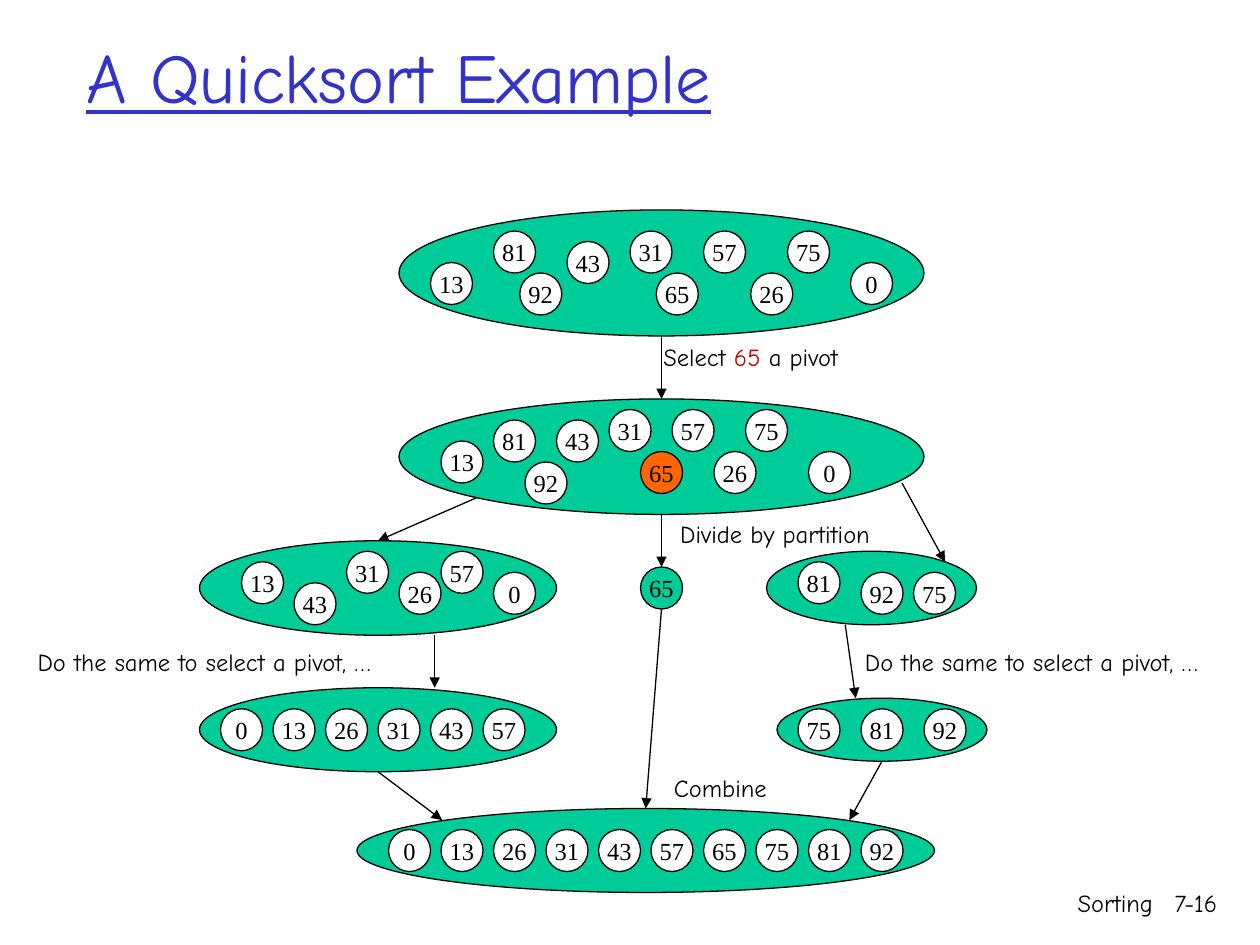
from dataclasses import dataclass

from pptx import Presentation
from pptx.dml.color import RGBColor
from pptx.enum.shapes import MSO_CONNECTOR, MSO_SHAPE
from pptx.enum.text import MSO_ANCHOR, MSO_AUTO_SIZE, PP_ALIGN
from pptx.oxml.ns import qn
from pptx.util import Pt
from lxml.etree import SubElement

PX = 7620
BALL = 40


@dataclass(frozen=True)
class Theme:
    title: RGBColor = RGBColor(0x33, 0x33, 0xCC)
    ink: RGBColor = RGBColor(0, 0, 0)
    ball: RGBColor = RGBColor(0xFF, 0xFF, 0xFF)
    group: RGBColor = RGBColor(0x00, 0xCC, 0x99)
    pivot: RGBColor = RGBColor(0xFF, 0x66, 0x00)
    accent: RGBColor = RGBColor(0xC0, 0, 0)
    label_font: str = "Comic Neue"
    number_font: str = "Times New Roman"
    title_size: Pt = Pt(40)
    text_size: Pt = Pt(14)
    line_width: Pt = Pt(0.75)


THEME = Theme()


def emu(lengths):
    return [length * PX for length in lengths]


def style_font(font, name, size, color):
    font.name = name
    font.size = size
    font.color.rgb = color


def add_title(page, box, text):
    title = page.shapes.title
    title.left, title.top, title.width, title.height = emu(box)
    frame = title.text_frame
    frame.text = text
    frame.auto_size = MSO_AUTO_SIZE.NONE
    frame.vertical_anchor = MSO_ANCHOR.MIDDLE
    para = frame.paragraphs[0]
    para.alignment = PP_ALIGN.LEFT
    span = para.runs[0]
    style_font(span.font, THEME.label_font, THEME.title_size, THEME.title)
    span.font.underline = True


def add_ellipse(shapes, box, fill):
    ellipse = shapes.add_shape(MSO_SHAPE.OVAL, *emu(box))
    ellipse.shadow.inherit = False
    ellipse.fill.solid()
    ellipse.fill.fore_color.rgb = fill
    ellipse.line.color.rgb = THEME.ink
    ellipse.line.width = THEME.line_width
    return ellipse


def add_ball(shapes, left, top, number, fill=THEME.ball):
    ball = add_ellipse(shapes, (left, top, BALL, BALL), fill)
    frame = ball.text_frame
    frame.text = str(number)
    frame.word_wrap = False
    frame.vertical_anchor = MSO_ANCHOR.MIDDLE
    para = frame.paragraphs[0]
    para.alignment = PP_ALIGN.CENTER
    style_font(para.runs[0].font, THEME.number_font, THEME.text_size, THEME.ink)


def add_number_set(page, box, balls, pivot=None):
    group = page.shapes.add_group_shape()
    add_ellipse(group.shapes, box, THEME.group)
    for number, x, y in balls:
        fill = THEME.pivot if number == pivot else THEME.ball
        add_ball(group.shapes, box[0] + x, box[1] + y, number, fill)


def add_sorted_set(page, box, numbers, inset, step):
    y = (box[3] - BALL) // 2
    balls = [(number, inset + index * step, y) for index, number in enumerate(numbers)]
    add_number_set(page, box, balls)


def add_arrow(page, *ends):
    arrow = page.shapes.add_connector(MSO_CONNECTOR.STRAIGHT, *emu(ends))
    arrow.line.color.rgb = THEME.ink
    arrow.line.width = THEME.line_width
    SubElement(arrow.line._get_or_add_ln(), qn("a:tailEnd"), type="triangle")
    SubElement(arrow._element.spPr, qn("a:effectLst"))


def add_text(page, box, parts):
    text_box = page.shapes.add_textbox(*emu(box))
    para = text_box.text_frame.paragraphs[0]
    for text, color in parts:
        span = para.add_run()
        span.text = text
        style_font(span.font, THEME.label_font, THEME.text_size, color)
    return text_box.text_frame


def add_label(page, box, *parts):
    frame = add_text(page, box, parts)
    frame.word_wrap = False
    frame.auto_size = MSO_AUTO_SIZE.SHAPE_TO_FIT_TEXT


def add_footer(page, box, text):
    frame = add_text(page, box, [(text, THEME.ink)])
    frame.word_wrap = True
    frame.paragraphs[0].alignment = PP_ALIGN.RIGHT


def add_sets(page):
    add_number_set(page, (380, 200, 500, 120), [
        (13, 30, 50), (81, 90, 20), (92, 115, 60), (43, 160, 30), (31, 220, 20),
        (65, 245, 60), (57, 290, 20), (26, 335, 60), (75, 370, 20), (0, 430, 50)])
    add_number_set(page, (380, 380, 500, 110), [
        (13, 40, 40), (81, 90, 20), (92, 120, 60), (43, 150, 20), (31, 200, 10),
        (65, 230, 50), (57, 260, 10), (26, 300, 50), (75, 330, 10), (0, 390, 50)], pivot=65)
    add_number_set(page, (190, 515, 340, 90), [
        (13, 40, 20), (43, 90, 40), (31, 140, 10), (57, 230, 10), (26, 190, 30), (0, 280, 30)])
    add_number_set(page, (730, 525, 200, 70), [(81, 30, 10), (92, 90, 20), (75, 140, 20)])
    add_ball(page.shapes, 610, 540, 65, THEME.group)
    low, high = [0, 13, 26, 31, 43, 57], [75, 81, 92]
    add_sorted_set(page, (190, 655, 340, 80), low, 20, 50)
    add_sorted_set(page, (740, 665, 200, 60), high, 20, 60)
    add_sorted_set(page, (340, 770, 550, 80), low + [65] + high, 30, 50)


def add_steps(page):
    for ends in [
        (630, 320, 630, 380), (454, 474, 360, 515), (630, 490, 630, 540),
        (859, 460, 900, 535), (414, 605, 414, 655), (805, 595, 815, 665),
        (360, 735, 421, 781), (630, 580, 615, 770), (840, 725, 809, 781),
    ]:
        add_arrow(page, *ends)
    add_label(page, (620, 320, 211, 41),
              ("Select ", THEME.ink), ("65", THEME.accent), (" a pivot", THEME.ink))
    add_label(page, (636, 488, 228, 41), ("Divide by partition", THEME.ink))
    for left in (24, 812):
        add_label(page, (left, 610, 374, 41), ("Do the same to select a pivot, …", THEME.ink))
    add_label(page, (630, 730, 115, 41), ("Combine", THEME.ink))


def main():
    deck = Presentation()
    deck.slide_width, deck.slide_height = emu((1200, 900))
    page = deck.slides.add_slide(deck.slide_layouts[5])
    add_title(page, (70, 30, 1020, 83), "A Quicksort Example")
    add_sets(page)
    add_steps(page)
    add_footer(page, (730, 840, 380, 60), "Sorting")
    add_footer(page, (1090, 840, 81, 60), "7-16")
    deck.save("out.pptx")


if __name__ == "__main__":
    main()
